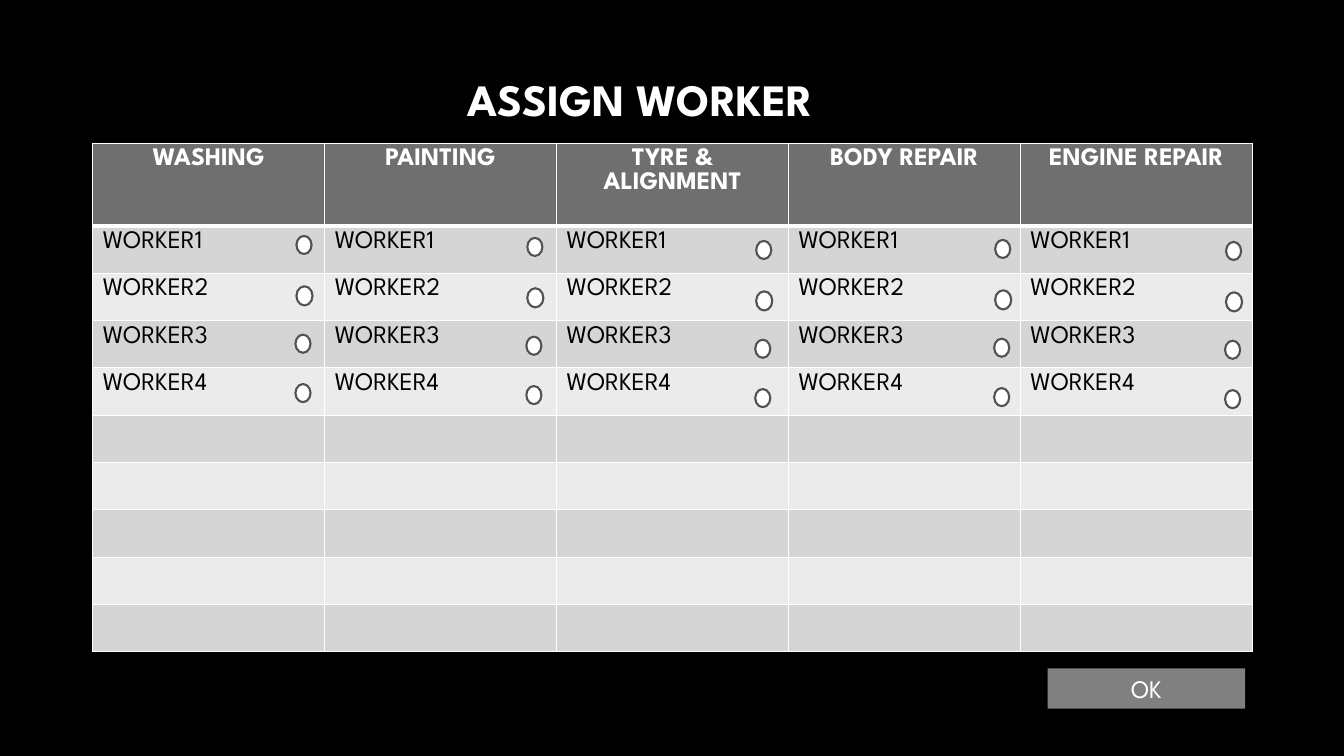
import pptx
import pptx.util
import pptx.dml.color
import pptx.enum.shapes
import pptx.enum.text
import pptx.oxml
import pptx.oxml.ns

Inches = pptx.util.Inches
Pt = pptx.util.Pt
SHAPE = pptx.enum.shapes.MSO_SHAPE
ALIGN = pptx.enum.text.PP_ALIGN
MIDDLE = pptx.enum.text.MSO_ANCHOR.MIDDLE

FONT = "League Spartan"
WHITE = "FFFFFF"
JOBS = ["WASHING", "PAINTING", "TYRE & ALIGNMENT", "BODY REPAIR", "ENGINE REPAIR"]
WORKERS = ["WORKER1", "WORKER2", "WORKER3", "WORKER4"]
ROWS = 10
HEAD = 0.82
ROW = 0.47

# Radio buttons: left of each column, its drop, and (shift, top, width, height) by row
COLS = [(2.02, 0), (2.01, 0.02), (1.98, 0.05), (2.05, 0.04), (2.04, 0.06)]
DOTS = [(0, 0.92, 0.15, 0.18), (0, 1.42, 0.16, 0.19),
        (-0.01, 1.9, 0.15, 0.18), (-0.01, 2.39, 0.15, 0.18)]


def color(text):
    return pptx.dml.color.RGBColor.from_string(text)


def fill(part, tint):
    part.fill.solid()
    part.fill.fore_color.rgb = color(tint)


def write(frame, text, size, tint, bold=False, align=ALIGN.CENTER):
    para = frame.paragraphs[0]
    para.alignment = align
    run = para.add_run()
    run.text = text
    run.font.name = FONT
    run.font.size = Pt(size)
    run.font.bold = bold
    run.font.color.rgb = color(tint)


def edge(cell, side, width):
    # Line elements have to stand before the fill, so edges are set first
    line = pptx.oxml.parse_xml(
        f'<a:{side} {pptx.oxml.ns.nsdecls("a")} w="{Pt(width)}">'
        f'<a:solidFill><a:srgbClr val="{WHITE}"/></a:solidFill></a:{side}>')
    cell._tc.get_or_add_tcPr().append(line)


def add_title(slide, x, y, w, h):
    box = slide.shapes.add_textbox(Inches(x), Inches(y), Inches(w), Inches(h))
    frame = box.text_frame
    frame.word_wrap = True
    frame.vertical_anchor = MIDDLE
    write(frame, "ASSIGN WORKER", 32, WHITE, True)
    frame.paragraphs[0].line_spacing = 0.9


def add_grid(slide, x, y, w, h):
    grid = slide.shapes.add_table(ROWS, len(JOBS), Inches(x), Inches(y),
                                  Inches(w), Inches(h)).table
    for col in grid.columns:
        col.width = Inches(w / len(JOBS))
    for r, row in enumerate(grid.rows):
        row.height = Inches(ROW if r else HEAD)
        for c, cell in enumerate(row.cells):
            for side in ("lnL", "lnR", "lnT", "lnB"):
                thick = (r, side) in ((0, "lnB"), (1, "lnT"))
                edge(cell, side, 3 if thick else 1)
            if r == 0:
                fill(cell, "6F6F6F")
                write(cell.text_frame, JOBS[c], 18, WHITE, True)
                continue
            fill(cell, "D5D5D5" if r % 2 else "EBEBEB")
            if r <= len(WORKERS):
                write(cell.text_frame, WORKERS[r - 1], 18, "000000", align=ALIGN.LEFT)


def add_dots(slide, x, y, w):
    for c, (left, drop) in enumerate(COLS):
        for shift, top, wide, high in DOTS:
            dot = slide.shapes.add_shape(
                SHAPE.FLOWCHART_CONNECTOR,
                Inches(x + c * w / len(JOBS) + left + shift),
                Inches(y + top + drop), Inches(wide), Inches(high))
            dot.shadow.inherit = False
            fill(dot, WHITE)
            dot.line.color.rgb = color("525252")
            dot.line.width = Pt(1.5)


def add_button(slide, x, y, w, h):
    key = slide.shapes.add_shape(SHAPE.RECTANGLE, Inches(x), Inches(y),
                                 Inches(w), Inches(h))
    key.shadow.inherit = False
    fill(key, "808080")
    key.line.fill.background()
    key.text_frame.vertical_anchor = MIDDLE
    write(key.text_frame, "OK", 18, WHITE)


def main():
    deck = pptx.Presentation()
    deck.slide_width = Inches(13.33)
    deck.slide_height = Inches(7.5)
    slide = deck.slides.add_slide(deck.slide_layouts[6])
    fill(slide.background, "000000")
    add_title(slide, 1.25, 0.67, 10.2, 0.69)
    add_grid(slide, 0.92, 1.42, 11.5, 5.09)
    add_dots(slide, 0.92, 1.42, 11.5)
    add_button(slide, 10.39, 6.63, 1.96, 0.4)
    deck.save("out.pptx")


if __name__ == "__main__":
    main()
